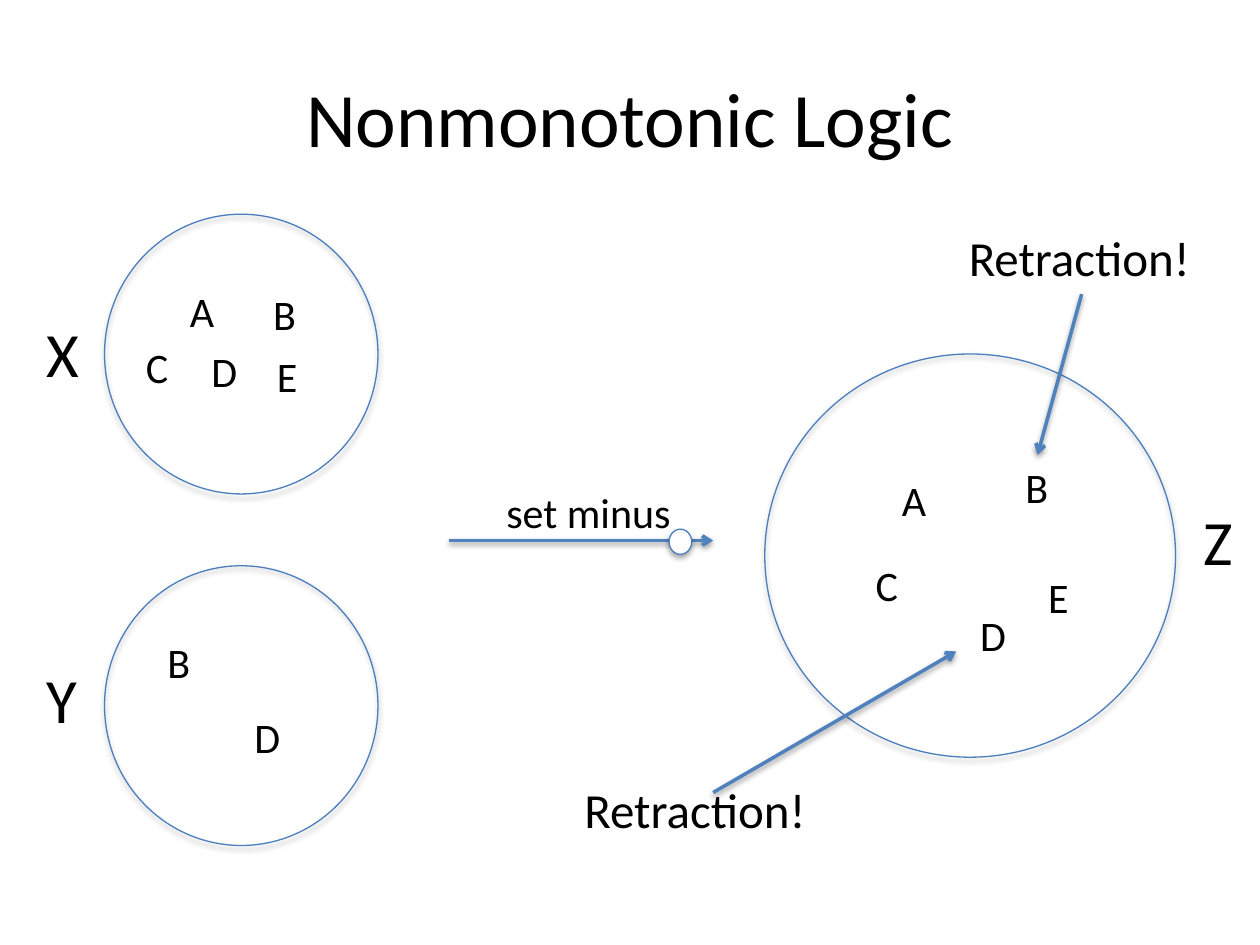
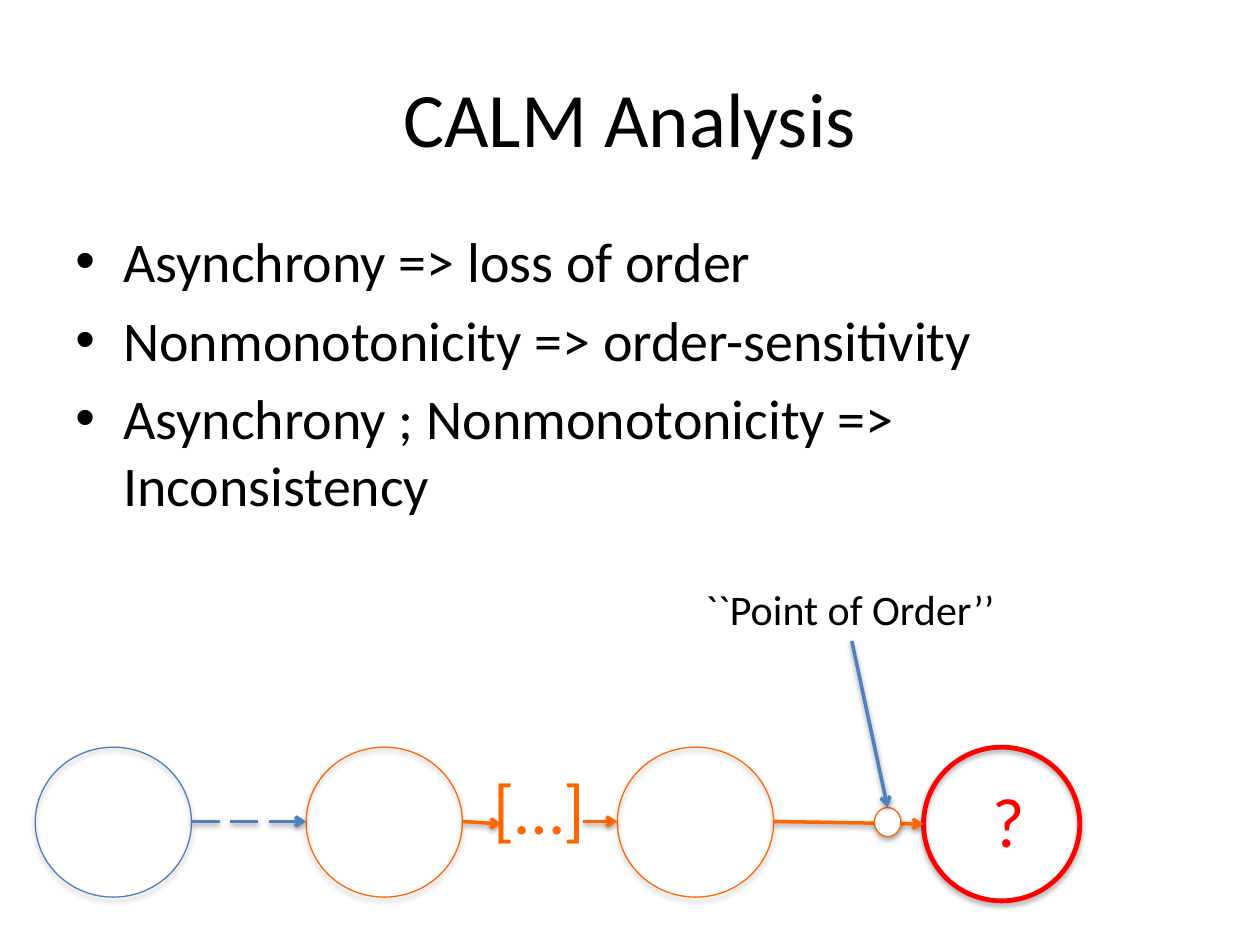
from dataclasses import dataclass
from typing import NamedTuple, Optional

from lxml import etree
from pptx import Presentation
from pptx.dml.color import RGBColor
from pptx.enum.dml import MSO_LINE
from pptx.enum.shapes import MSO_CONNECTOR, MSO_SHAPE
from pptx.enum.text import MSO_ANCHOR, MSO_AUTO_SIZE, PP_ALIGN
from pptx.oxml.ns import qn
from pptx.util import Inches, Pt

OVAL = MSO_SHAPE.OVAL
STRAIGHT = MSO_CONNECTOR.STRAIGHT
LONG_DASH = MSO_LINE.LONG_DASH
TOP, MIDDLE = MSO_ANCHOR.TOP, MSO_ANCHOR.MIDDLE
LEFT, CENTER = PP_ALIGN.LEFT, PP_ALIGN.CENTER
GROW, FIXED = MSO_AUTO_SIZE.SHAPE_TO_FIT_TEXT, MSO_AUTO_SIZE.NONE
TOP_SIDE, BOTTOM_SIDE = 0, 2


@dataclass(frozen=True)
class Theme:
    font: str = "Calibri"
    ink: str = "000000"
    paper: str = "FFFFFF"
    outline: str = "4B7EBC"
    arrow: str = "4F81BD"
    orange: str = "FF6600"
    red: str = "FF0000"
    title: int = 44
    symbol: int = 40
    set_name: int = 36
    body: int = 32
    callout: int = 28
    item: int = 24
    thin: float = 0.75
    medium: float = 2
    thick: float = 2.75


THEME = Theme()


class Circle(NamedTuple):
    x: float
    y: float
    w: float
    h: float
    color: str = THEME.outline
    weight: float = THEME.thin
    fill: Optional[str] = None


class Label(NamedTuple):
    text: str
    x: float
    y: float
    w: float
    size: int = THEME.item
    color: str = THEME.ink
    wrap: bool = False


class Arrow(NamedTuple):
    x1: float
    y1: float
    x2: float
    y2: float
    color: str = THEME.arrow
    dash: Optional[int] = None


LETTER_WIDTHS = {"A": 0.4, "B": 0.39, "C": 0.38, "D": 0.41, "E": 0.37}


def letter(text: str, x: float, y: float) -> Label:
    return Label(text, x, y, LETTER_WIDTHS[text])


def set_name(text: str, x: float, y: float) -> Label:
    return Label(text, x, y, 0.46, THEME.set_name)


SET_CIRCLES = [
    Circle(6.07, 2.81, 3.26, 3.2),
    *(Circle(0.83, y, 2.17, 2.22) for y in (1.7, 4.49)),
]
SET_LABELS = [
    letter("A", 1.41, 2.22),
    letter("B", 2.07, 2.24),
    letter("C", 1.06, 2.66),
    letter("D", 1.58, 2.69),
    letter("E", 2.1, 2.73),
    letter("B", 1.23, 5),
    letter("D", 1.92, 5.6),
    letter("A", 7.06, 3.72),
    letter("C", 6.85, 4.39),
    letter("D", 7.68, 4.79),
    letter("E", 8.22, 4.49),
    Label("set minus", 3.92, 3.81, 1.74, wrap=True),
    Label("Retraction!", 4.54, 6.14, 1.99, THEME.callout),
    set_name("X", 0.27, 2.45),
    set_name("Y", 0.27, 5.19),
    set_name("Z", 9.45, 3.94),
]
SET_ARROWS = [Arrow(3.56, 4.29, 5.66, 4.29), Arrow(5.66, 6.29, 7.59, 5.17)]
MINUS_NODE = Circle(5.31, 4.2, 0.18, 0.2, fill=THEME.paper)
RETRACTED_B = letter("B", 8.04, 3.61)
RETRACTION = Label("Retraction!", 7.59, 1.76, 1.99, THEME.callout)

CALM_POINTS = [
    "Asynchrony => loss of order",
    "Nonmonotonicity => order-sensitivity",
    "Asynchrony ; Nonmonotonicity => Inconsistency",
]
CHAIN_CIRCLES = [
    Circle(0.28, 5.93, 1.24, 1.19),
    *(Circle(x, 5.93, 1.24, 1.19, THEME.orange) for x in (2.43, 4.9)),
    Circle(7.33, 5.93, 1.24, 1.22, THEME.red, THEME.thick),
]
CHAIN_ARROWS = [
    Arrow(1.52, 6.52, 2.43, 6.52, dash=LONG_DASH),
    Arrow(3.67, 6.52, 3.98, 6.54, THEME.orange),
    Arrow(4.63, 6.52, 4.9, 6.52, THEME.orange),
    Arrow(6.14, 6.52, 7.33, 6.54, THEME.orange),
]
CHAIN_LABELS = [
    Label("?", 7.78, 6.12, 0.29, THEME.symbol, THEME.red, True),
    Label("[…]", 3.82, 6.02, 0.93, THEME.symbol, THEME.orange),
]
ORDER_NODE = Circle(6.94, 6.41, 0.21, 0.23, THEME.orange, fill=THEME.paper)
POINT_OF_ORDER = Label("``Point of Order’’", 5.5, 4.58, 2.52)


def rgb(color: str) -> RGBColor:
    return RGBColor.from_string(color)


def add_child(parent, tag: str, **attrs):
    return etree.SubElement(parent, qn(tag), {k: str(v) for k, v in attrs.items()})


def add_shadow(effects, distance: int, opacity: int) -> None:
    shadow = add_child(effects, "a:outerShdw", blurRad=40000, dist=distance,
                       dir=5400000, rotWithShape=0)
    color = add_child(shadow, "a:srgbClr", val=THEME.ink)
    add_child(color, "a:alpha", val=opacity * 1000)


def add_text(s, text, x: float, y: float, w: float, h: float, *,
             size: int = THEME.item, color: str = THEME.ink, align=LEFT,
             anchor=TOP, wrap: bool = True, auto_size=FIXED,
             bullet: bool = False):
    sp = s.shapes.add_textbox(Inches(x), Inches(y), Inches(w), Inches(h))
    tf = sp.text_frame
    tf.word_wrap = wrap
    tf.auto_size = auto_size
    tf.vertical_anchor = anchor
    for i, line in enumerate([text] if isinstance(text, str) else text):
        p = tf.add_paragraph() if i else tf.paragraphs[0]
        p.alignment = align
        if bullet:
            p.space_before = Pt(size * 0.2)
            pPr = p._p.get_or_add_pPr()
            pPr.set("marL", str(Inches(0.38)))
            pPr.set("indent", str(Inches(-0.38)))
            add_child(pPr, "a:buFont", typeface="Arial")
            add_child(pPr, "a:buChar", char="•")
        r = p.add_run()
        r.text = line
        r.font.name = THEME.font
        r.font.size = Pt(size)
        r.font.color.rgb = rgb(color)
    return sp


def add_label(s, label: Label):
    height = label.size * 1.22 / 72 + 0.1
    return add_text(s, label.text, label.x, label.y, label.w, height,
                    size=label.size, color=label.color, wrap=label.wrap,
                    auto_size=GROW)


def add_circle(s, circle: Circle):
    sp = s.shapes.add_shape(OVAL, Inches(circle.x), Inches(circle.y),
                            Inches(circle.w), Inches(circle.h))
    if circle.fill:
        sp.fill.solid()
        sp.fill.fore_color.rgb = rgb(circle.fill)
    else:
        sp.fill.background()
    sp.line.color.rgb = rgb(circle.color)
    sp.line.width = Pt(circle.weight)
    sp.shadow.inherit = False
    add_shadow(sp._element.spPr.find(qn("a:effectLst")), 23000, 35)
    return sp


def add_arrow(s, arrow: Arrow):
    ends = (Inches(v) for v in (arrow.x1, arrow.y1, arrow.x2, arrow.y2))
    cxn = s.shapes.add_connector(STRAIGHT, *ends)
    cxn.line.color.rgb = rgb(arrow.color)
    cxn.line.width = Pt(THEME.medium)
    if arrow.dash is not None:
        cxn.line.dash_style = arrow.dash
    add_child(cxn.line._get_or_add_ln(), "a:tailEnd", type="arrow")
    add_shadow(add_child(cxn._element.spPr, "a:effectLst"), 20000, 38)
    return cxn


def join_down(s, upper, lower) -> None:
    cxn = add_arrow(s, Arrow(0, 0, 1, 1))
    cxn.begin_connect(upper, BOTTOM_SIDE)
    cxn.end_connect(lower, TOP_SIDE)


def add_diagram(s, circles: list[Circle], arrows: list[Arrow],
                labels: list[Label]) -> None:
    for circle in circles:
        add_circle(s, circle)
    for arrow in arrows:
        add_arrow(s, arrow)
    for label in labels:
        add_label(s, label)


def add_titled_slide(prs, title: str):
    s = prs.slides.add_slide(prs.slide_layouts[6])
    add_text(s, title, 0.5, 0.3, 9, 1.25, size=THEME.title, align=CENTER,
             anchor=MIDDLE)
    return s


def build_logic_slide(prs) -> None:
    s = add_titled_slide(prs, "Nonmonotonic Logic")
    add_diagram(s, SET_CIRCLES, SET_ARROWS, SET_LABELS)
    add_circle(s, MINUS_NODE)
    join_down(s, add_label(s, RETRACTION), add_label(s, RETRACTED_B))


def build_calm_slide(prs) -> None:
    s = add_titled_slide(prs, "CALM Analysis")
    add_text(s, CALM_POINTS, 0.5, 1.75, 9, 4.95, size=THEME.body, bullet=True)
    add_diagram(s, CHAIN_CIRCLES, CHAIN_ARROWS, CHAIN_LABELS)
    join_down(s, add_label(s, POINT_OF_ORDER), add_circle(s, ORDER_NODE))


def main() -> None:
    prs = Presentation()
    prs.slide_width = Inches(10)
    prs.slide_height = Inches(7.5)
    build_logic_slide(prs)
    build_calm_slide(prs)
    prs.save("out.pptx")


if __name__ == "__main__":
    main()
